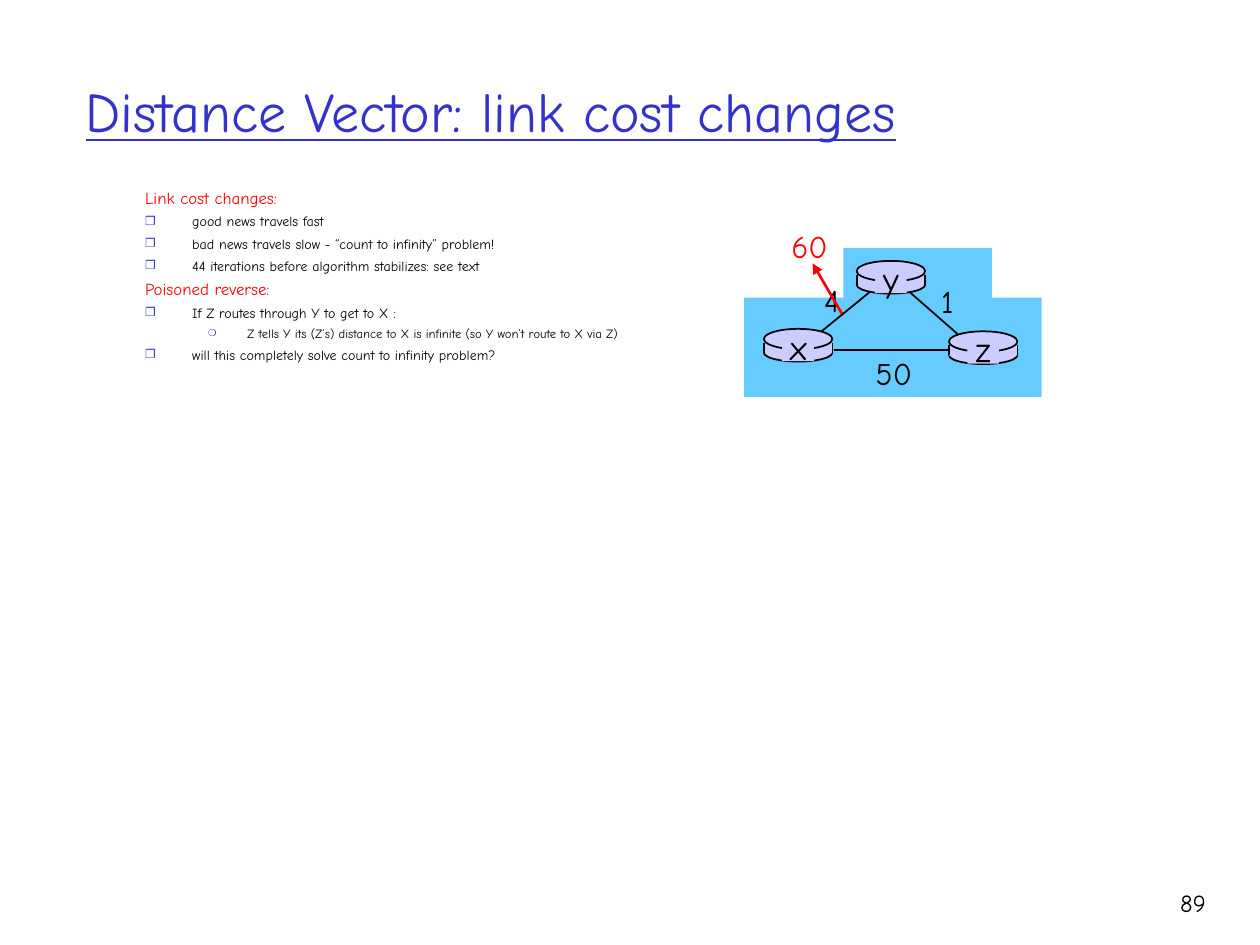
"""Build a slide on link cost changes in distance vector routing."""
import lxml.etree
import pptx
import pptx.dml.color
import pptx.enum.shapes
import pptx.enum.text
import pptx.oxml.ns
import pptx.util

Cm, Pt = pptx.util.Cm, pptx.util.Pt
SHAPE = pptx.enum.shapes.MSO_SHAPE
ALIGN = pptx.enum.text.PP_ALIGN
qn = pptx.oxml.ns.qn
FONT = "Comic Neue"
BLUE, RED, BLACK, LILAC, SKY = "3333CC", "FF0000", "000000", "CCCCFF", "66CCFF"


def paint(fill, colour):
    fill.solid()
    fill.fore_color.rgb = pptx.dml.color.RGBColor.from_string(colour)


def draw_line(start, end, colour=BLACK, width=1):
    connector = slide.shapes.add_connector(
        pptx.enum.shapes.MSO_CONNECTOR.STRAIGHT, *map(Cm, start + end))
    paint(connector.line.fill, colour)
    connector.line.width = Pt(width)
    lxml.etree.SubElement(connector._element.spPr, qn("a:effectLst"))
    return connector


presentation = pptx.Presentation()
presentation.slide_width, presentation.slide_height = Cm(25.4), Cm(19.05)
slide = presentation.slides.add_slide(presentation.slide_layouts[1])

title, body = slide.placeholders
title.left, title.top, title.width, title.height = map(Cm, (1.47, 0.64, 21.59, 3.18))
title.text_frame.text = "Distance Vector: link cost changes"
title.text_frame.vertical_anchor = pptx.enum.text.MSO_ANCHOR.MIDDLE
title.text_frame.auto_size = pptx.enum.text.MSO_AUTO_SIZE.NONE
heading = title.text_frame.paragraphs[0]
heading.alignment = ALIGN.LEFT
heading.font.name, heading.font.size, heading.font.underline = FONT, Pt(32), True
paint(heading.font.fill, BLUE)

body.left, body.top, body.width, body.height = map(Cm, (2.67, 3.73, 10.59, 4.14))
body.text_frame.auto_size = pptx.enum.text.MSO_AUTO_SIZE.NONE
styles = {
    "heading": (0, 9.6, RED, 5, 0.95, 0.95, None, None),
    "point": (0, 8, BLACK, 5, 0.95, 0.95, "❒", 85),
    "detail": (1, 7.2, BLACK, 4.5, 2.06, 0.79, "❍", 75),
}
points = [
    ("heading", "Link cost changes:"),
    ("point", "good news travels fast"),
    ("point", "bad news travels slow - “count to infinity” problem!"),
    ("point", "44 iterations before algorithm stabilizes: see text"),
    ("heading", "Poisoned reverse:"),
    ("point", "If Z routes through Y to get to X :"),
    ("detail", "Z tells Y its (Z’s) distance to X is infinite (so Y won’t route to X via Z)"),
    ("point", "will this completely solve count to infinity problem?"),
]
body.text_frame.text = "\n".join(text for _, text in points)
for index, (paragraph, (style, _)) in enumerate(zip(body.text_frame.paragraphs, points)):
    level, size, colour, gap, margin, hanging, bullet, percent = styles[style]
    paragraph.level = level
    properties = paragraph._p.get_or_add_pPr()
    properties.set("marL", str(Cm(margin)))
    properties.set("indent", str(-Cm(hanging)))
    if bullet:
        bullet_colour = lxml.etree.SubElement(properties, qn("a:buClr"))
        lxml.etree.SubElement(bullet_colour, qn("a:srgbClr"), val=BLUE)
        lxml.etree.SubElement(properties, qn("a:buSzPct"), val=str(percent * 1000))
        lxml.etree.SubElement(properties, qn("a:buChar"), char=bullet)
    else:
        lxml.etree.SubElement(properties, qn("a:buNone"))
    paragraph.line_spacing = 0.8
    paragraph.space_before = Pt(gap if index else 0)
    paragraph.font.name, paragraph.font.size = FONT, Pt(size)
    paint(paragraph.font.fill, colour)

cloud_start = (15.47, 6.27)
cloud_curves = [
    ((15.7, 5.92), (16.28, 5.69), (16.71, 5.44)),
    ((17.15, 5.18), (17.55, 4.72), (18.11, 4.78)),
    ((18.67, 4.8), (19.61, 5.33), (20.09, 5.69)),
    ((20.57, 6.07), (21.03, 6.6), (21.01, 6.99)),
    ((20.96, 7.34), (20.42, 7.77), (19.84, 7.92)),
    ((19.25, 8.1), (18.26, 8.05), (17.53, 7.98)),
    ((16.76, 7.9), (15.65, 7.8), (15.32, 7.49)),
    ((14.96, 7.21), (15.24, 6.6), cloud_start),
]
steps = 12
outline = []
anchor = cloud_start
for first, second, end in cloud_curves:
    for t in (step / steps for step in range(1, steps + 1)):
        outline.append(tuple(
            (1 - t) ** 3 * a + 3 * (1 - t) ** 2 * t * b + 3 * (1 - t) * t ** 2 * c + t ** 3 * d
            for a, b, c, d in zip(anchor, first, second, end)))
    anchor = end
builder = slide.shapes.build_freeform(*cloud_start, scale=Cm(1))
builder.add_line_segments(outline)
cloud = builder.convert_to_shape()
paint(cloud.fill, SKY)
cloud.line.fill.background()
cloud.shadow.inherit = False

for start, end in [((16.56, 6.68), (17.53, 5.89)), ((18.34, 5.89), (19.3, 6.73)),
                   ((16.81, 7.06), (19.18, 7.06))]:
    draw_line(start, end)

labels = [
    ("1", 18, BLACK, ALIGN.CENTER, 18.72, 5.56, 0.76, 1.02),
    ("4", 18, BLACK, ALIGN.CENTER, 16.36, 5.54, 0.81, 1.02),
    ("50", 18, BLACK, ALIGN.CENTER, 17.4, 7.01, 1.24, 1.02),
    ("60", 18, RED, ALIGN.CENTER, 15.7, 4.45, 1.24, 1.02),
    ("89", 14, BLACK, ALIGN.RIGHT, 22.68, 17.78, 1.88, 1.27),
]
router_width = 1.38
for name, left, top in [("x", 15.4, 6.63), ("z", 19.13, 6.68), ("y", 17.27, 5.26)]:
    for preset, dx, dy, width, height, outlined in [
            (SHAPE.OVAL, 0, 0.3, router_width, 0.36, True),
            (SHAPE.RECTANGLE, 0, 0.28, router_width, 0.21, False),
            (SHAPE.OVAL, 0, 0, router_width, 0.41, True),
            (SHAPE.RECTANGLE, 0.37, 0.07, 0.64, 0.58, False)]:
        part = slide.shapes.add_shape(preset, *map(Cm, (left + dx, top + dy, width, height)))
        part.shadow.inherit = False
        paint(part.fill, LILAC)
        if outlined:
            paint(part.line.fill, BLACK)
            part.line.width = Pt(1)
        else:
            part.line.fill.background()
    for side in (left, left + router_width):
        draw_line((side, top + 0.28), (side, top + 0.48))
    labels.append((name, 20, BLACK, ALIGN.CENTER, left + 0.28, top - 0.2, 0.82, 1.12))

for text, size, colour, alignment, *box in labels:
    label = slide.shapes.add_textbox(*map(Cm, box)).text_frame
    label.word_wrap = alignment == ALIGN.RIGHT
    label.text = text
    paragraph = label.paragraphs[0]
    paragraph.alignment = alignment
    paragraph.font.name, paragraph.font.size = FONT, Pt(size)
    paint(paragraph.font.fill, colour)

change_arrow = draw_line((16.97, 6.32), (16.38, 5.31), RED, 1.5)
lxml.etree.SubElement(change_arrow.line._get_or_add_ln(), qn("a:tailEnd"), type="triangle")

presentation.save("out.pptx")
